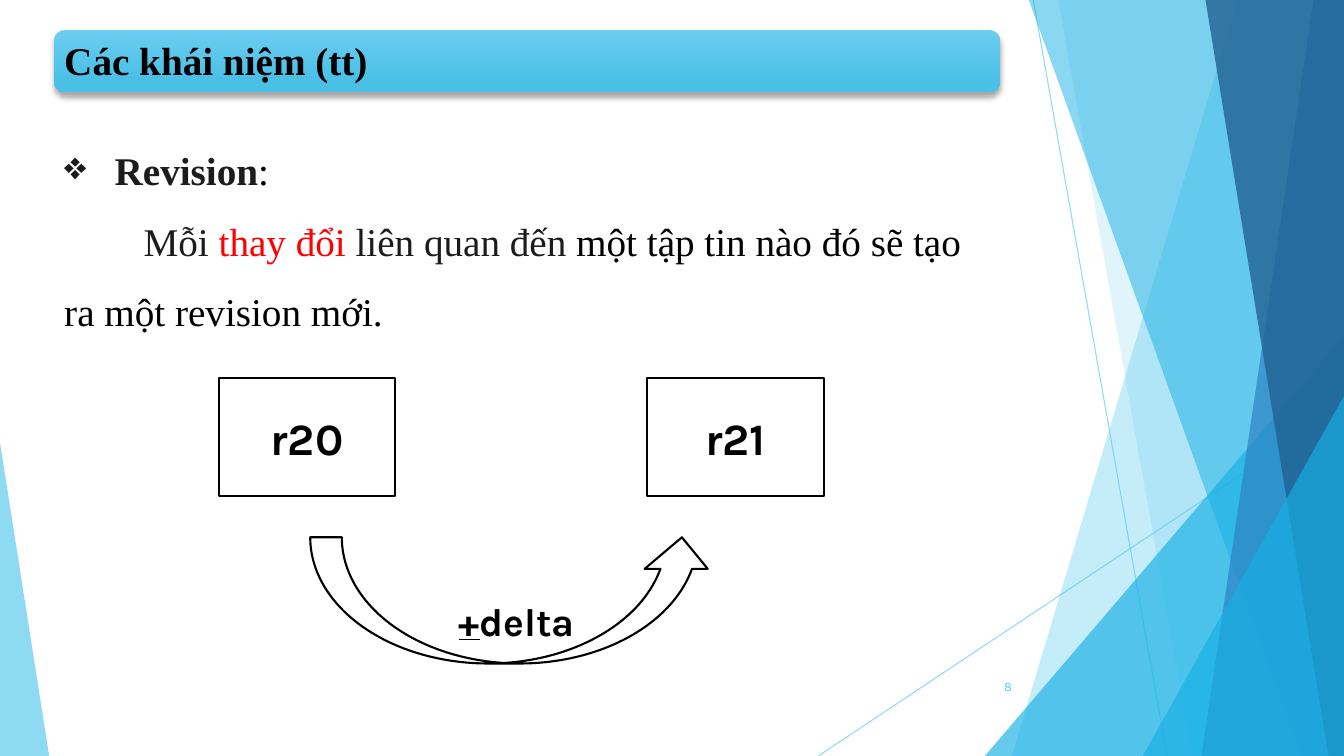
from dataclasses import dataclass

from lxml import etree
from pptx import Presentation
from pptx.dml.color import RGBColor
from pptx.enum.shapes import MSO_CONNECTOR, MSO_SHAPE
from pptx.enum.text import MSO_ANCHOR, PP_ALIGN
from pptx.oxml.ns import qn
from pptx.util import Cm, Pt

STRAIGHT = MSO_CONNECTOR.STRAIGHT
TRIANGLE = MSO_SHAPE.ISOSCELES_TRIANGLE
RECTANGLE = MSO_SHAPE.RECTANGLE
ROUNDED = MSO_SHAPE.ROUNDED_RECTANGLE
CURVED_ARROW = MSO_SHAPE.CURVED_UP_ARROW
MIDDLE = MSO_ANCHOR.MIDDLE
CENTER, RIGHT = PP_ALIGN.CENTER, PP_ALIGN.RIGHT


@dataclass(frozen=True)
class Theme:
    serif: str = "Times New Roman"
    sans: str = "Karla"
    body: int = 28
    revision: int = 32
    number: int = 9
    black: str = "000000"
    ink: str = "1C1C1C"
    red: str = "FF0000"
    sky: str = "5FCBEF"
    azure: str = "17B0E4"
    blue: str = "2E83C3"
    navy: str = "226292"
    banner_top: str = "6CCDF0"
    banner_bottom: str = "4BC0E6"


theme = Theme()
WIDTH, HEIGHT = 33.87, 19.05


def set_opacity(shape, percent):
    for color in shape.element.spPr.iter(qn("a:srgbClr")):
        etree.SubElement(color, qn("a:alpha"), val=str(percent * 1000))


def add_span(para, text, font, size, color, bold=False, underline=False):
    span = para.add_run()
    span.text = text
    span.font.name = font
    span.font.size = Pt(size)
    span.font.color.rgb = RGBColor.from_string(color)
    span.font.bold = bold
    span.font.underline = underline


deck = Presentation()
deck.slide_width, deck.slide_height = Cm(WIDTH), Cm(HEIGHT)
page = deck.slides.add_slide(deck.slide_layouts[6])
shapes = page.shapes

# Background rays
for x1, y1, x2, y2 in [(26.04, 0, 29.41, HEIGHT), (WIDTH, 10.24, 20.62, HEIGHT)]:
    ray = shapes.add_connector(STRAIGHT, Cm(x1), Cm(y1), Cm(x2), Cm(y2))
    ray.line.color.rgb = RGBColor.from_string(theme.sky)
    ray.line.width = Pt(0.75)
    set_opacity(ray, 70)
    etree.SubElement(ray.element.spPr, qn("a:effectLst"))

# Facets from back to front: a slice has its left edge at the top and the bottom,
# a triangle has left, top, width, height and the place of its apex.
facets = [
    ((31.19, 25.5), theme.sky, 36),
    ((26.67, 30.05), theme.sky, 20),
    ((24.82, 8.46, 9.05, 10.59, 1), theme.azure, 66),
    ((25.93, 32.79), theme.azure, 50),
    ((33.1, 30.28), theme.blue, 70),
    ((30.38, 33.48), theme.navy, 80),
    ((28.8, 9.98, 5.07, 9.07, 1), theme.azure, 66),
    ((0, 11.15, 1.24, 7.9, 0), theme.sky, 70),
]
for geometry, color, opacity in facets:
    if len(geometry) == 2:
        top_x, bottom_x = geometry
        outline = shapes.build_freeform(Cm(top_x), Cm(0))
        corners = [(WIDTH, 0), (WIDTH, HEIGHT), (bottom_x, HEIGHT)]
        outline.add_line_segments([(Cm(x), Cm(y)) for x, y in corners], close=True)
        facet = outline.convert_to_shape()
    else:
        *frame, apex = geometry
        facet = shapes.add_shape(TRIANGLE, *map(Cm, frame))
        facet.adjustments[0] = apex
    facet.fill.solid()
    facet.fill.fore_color.rgb = RGBColor.from_string(color)
    set_opacity(facet, opacity)
    facet.line.fill.background()
    facet.shadow.inherit = False

# Definition
box = shapes.add_textbox(Cm(1.37), Cm(2.97), Cm(23.83), Cm(5.64))
box.text_frame.word_wrap = True
heading = box.text_frame.paragraphs[0]
properties = heading._p.get_or_add_pPr()
properties.set("marL", str(Cm(1.27)))
properties.set("indent", str(Cm(-1.27)))
etree.SubElement(properties, qn("a:buChar"), char="❖")
heading.line_spacing = 1.5
add_span(heading, "Revision", theme.serif, theme.body, theme.ink, bold=True)
add_span(heading, ":", theme.serif, theme.body, theme.black)

definition = box.text_frame.add_paragraph()
definition._p.get_or_add_pPr().set("indent", str(Cm(2)))
definition.line_spacing = 1.5
for text, color in [
    ("Mỗi ", theme.ink),
    ("thay đổi ", theme.red),
    ("liên quan đến ", theme.ink),
    ("một tập tin nào đó sẽ tạo ra một revision mới.", theme.black),
]:
    add_span(definition, text, theme.serif, theme.body, color)

# Title banner
banner = shapes.add_shape(ROUNDED, Cm(1.37), Cm(0.76), Cm(23.83), Cm(1.57))
banner.fill.gradient()
banner.fill.gradient_angle = 270
stops = [(0, theme.banner_top), (0.78, theme.banner_bottom)]
for stop, (position, color) in zip(banner.fill.gradient_stops, stops):
    stop.position = position
    stop.color.rgb = RGBColor.from_string(color)
banner.line.fill.background()
banner.shadow.inherit = False
shadow = etree.SubElement(
    banner.element.spPr.find(qn("a:effectLst")), qn("a:outerShdw"),
    blurRad=str(Pt(4)), dist=str(Pt(3)), dir="5400000", rotWithShape="0")
shade = etree.SubElement(shadow, qn("a:srgbClr"), val=theme.black)
etree.SubElement(shade, qn("a:alpha"), val="35000")

title = shapes.add_textbox(Cm(1.37), Cm(0.79), Cm(9.42), Cm(1.45))
title.text_frame.word_wrap = True
add_span(title.text_frame.paragraphs[0], "Các khái niệm (tt)",
         theme.serif, theme.body, theme.black, bold=True)

# Revision diagram
diagram = [
    (RECTANGLE, 5.51, 9.53, 4.45, 2.97, "r20"),
    (RECTANGLE, 16.31, 9.53, 4.45, 2.97, "r21"),
    (CURVED_ARROW, 7.82, 13.54, 10.16, 3.18, ""),
]
for kind, left, top, width, height, label in diagram:
    node = shapes.add_shape(kind, Cm(left), Cm(top), Cm(width), Cm(height))
    node.fill.background()
    node.line.color.rgb = RGBColor.from_string(theme.black)
    node.line.width = Pt(1.5)
    node.shadow.inherit = False
    if label:
        node.text_frame.vertical_anchor = MIDDLE
        para = node.text_frame.paragraphs[0]
        para.alignment = CENTER
        add_span(para, label, theme.sans, theme.revision, theme.black, bold=True)

delta = shapes.add_textbox(Cm(10.8), Cm(14.17), Cm(4.45), Cm(2.97))
delta.text_frame.word_wrap = True
delta.text_frame.vertical_anchor = MIDDLE
para = delta.text_frame.paragraphs[0]
para.alignment = CENTER
add_span(para, "+", theme.sans, theme.body, theme.black, bold=True, underline=True)
add_span(para, "delta", theme.sans, theme.body, theme.black, bold=True)

# Page number
number = shapes.add_textbox(Cm(23.85), Cm(16.79), Cm(1.9), Cm(1.02))
number.text_frame.word_wrap = True
number.text_frame.vertical_anchor = MIDDLE
para = number.text_frame.paragraphs[0]
para.alignment = RIGHT
add_span(para, "8", theme.sans, theme.number, theme.sky)

deck.save("out.pptx")
